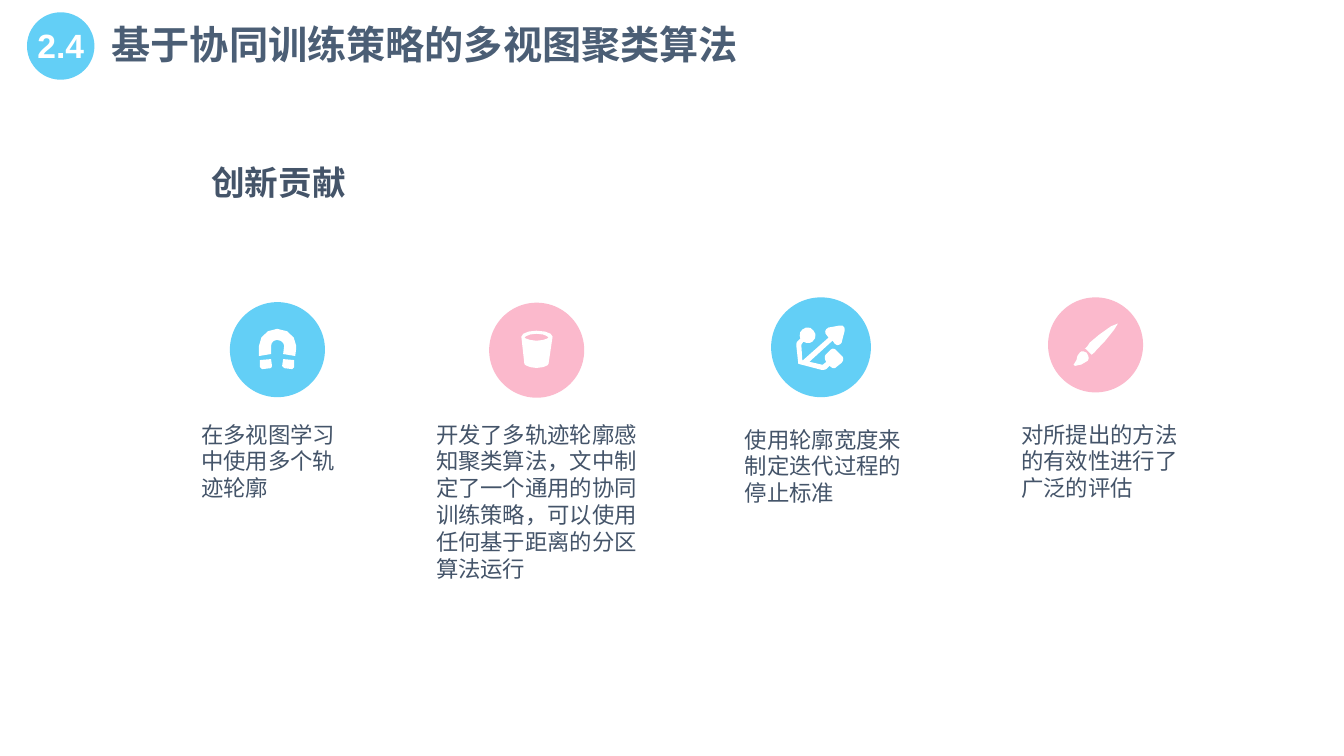
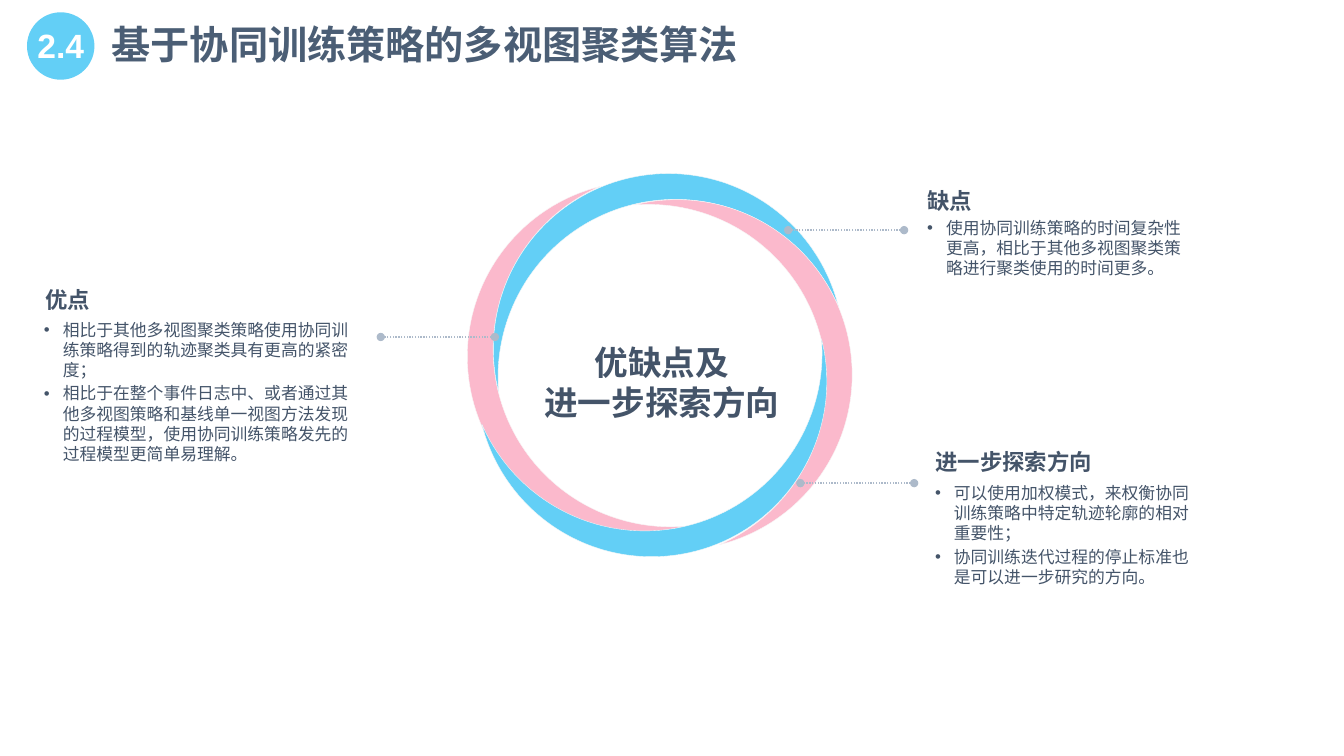
"""Builds two slides on a multi-view clustering algorithm based on co-training."""
from lxml.etree import SubElement
from pptx import Presentation
from pptx.dml.color import RGBColor
from pptx.enum.dml import MSO_LINE
from pptx.enum.lang import MSO_LANGUAGE_ID
from pptx.enum.shapes import MSO_CONNECTOR, MSO_SHAPE
from pptx.enum.text import MSO_ANCHOR, MSO_AUTO_SIZE, PP_ALIGN
from pptx.oxml.ns import qn
from pptx.util import Pt

SKY = RGBColor(0x63, 0xCF, 0xF6)
PINK = RGBColor(0xFB, 0xB9, 0xCC)
WHITE = RGBColor(0xFF, 0xFF, 0xFF)
EDGE = RGBColor(0xF8, 0xF8, 0xF8)
INK = RGBColor(0x44, 0x54, 0x69)
TITLE_INK = RGBColor(0x4B, 0x5E, 0x75)
LEADER = RGBColor(0xAD, 0xBA, 0xCA)

FONT = "Arial"
CURVE_STEPS = 3
ICON_UNIT = 0.72
ICON_DETAIL = 10

MAGNET = [
    [(23, 37), (25, 39), (33, 40), (35, 38), (35, 31), (24, 30)],
    [(1, 31), (1, 38), (3, 40), (12, 39), (13, 37), (12, 30)],
    [(0, 19), (0, 27), (12, 25), (12, 17), (12, 14, 14, 11, 18, 11), (22, 11, 25, 14, 25, 17),
     (24, 25), (36, 27), (37, 19), (37, 17), (37, 8, 29, 0, 18, 0), (8, 0, 0, 8, 0, 17)],
]
CUP = [
    [(15, 0), (6, 0, 0, 3, 0, 6), (3, 33), (3, 34, 8, 37, 15, 37), (23, 37, 27, 34, 27, 33),
     (31, 6), (31, 3, 25, 0, 15, 0)],
    [(15, 10), (8, 10, 3, 7, 3, 7), (3, 6, 8, 3, 15, 3), (23, 3, 27, 6, 27, 7),
     (27, 7, 23, 10, 15, 10)],
]
ROUTE = [
    [(38, 19), (40, 22, 44, 20, 45, 18), (48, 6), (49, 3, 46, 0, 43, 1), (32, 3),
     (29, 4, 28, 7, 29, 9), (32, 13), (6, 36), (5, 20), (7, 17), (10, 19, 14, 19, 16, 17),
     (20, 14, 20, 9, 17, 6), (15, 2, 9, 2, 6, 5), (3, 7, 3, 11, 4, 14), (2, 16),
     (0, 17, 0, 19, 0, 21), (2, 39), (25, 45), (27, 45, 29, 45, 30, 44), (33, 41), (34, 42),
     (36, 44, 39, 44, 40, 42), (45, 38), (47, 36, 47, 33, 46, 32), (40, 26),
     (39, 24, 36, 23, 34, 25), (29, 30), (28, 31, 28, 34, 29, 36), (30, 37), (26, 40),
     (13, 37), (36, 16)],
]
BRUSH = [
    [(8, 31), (4, 34, 7, 38, 2, 43), (0, 45, 11, 44, 16, 39), (18, 37, 17, 34, 15, 31),
     (12, 29, 9, 29, 8, 31)],
    [(46, 2), (44, 0, 24, 15, 18, 21), (16, 24, 15, 26, 13, 27), (14, 27), (17, 30), (19, 32),
     (20, 33), (21, 32, 23, 31, 25, 28), (31, 23, 47, 3, 46, 2)],
]


def write(sp, box, text, size=16, color=INK, bold=False, align=PP_ALIGN.LEFT,
          inset=(0, 0), bullet=False):
    sp.left, sp.top, sp.width, sp.height = (Pt(v) for v in box)
    tf = sp.text_frame
    tf.auto_size = MSO_AUTO_SIZE.NONE
    tf.word_wrap = True
    tf.vertical_anchor = MSO_ANCHOR.TOP
    tf.margin_left = tf.margin_right = Pt(inset[0])
    tf.margin_top = tf.margin_bottom = Pt(inset[1])
    for i, line in enumerate(text.split("\n")):
        p = tf.add_paragraph() if i else tf.paragraphs[0]
        if bullet:
            pPr = p._p.get_or_add_pPr()
            pPr.set("marL", str(Pt(13.5)))
            pPr.set("indent", str(-Pt(13.5)))
            SubElement(pPr, qn("a:buFont")).set("typeface", FONT)
            SubElement(pPr, qn("a:buChar")).set("char", "•")
        p.alignment = align
        p.space_before = Pt(size * 0.2 if bullet and i else 0)
        r = p.add_run()
        r.text = line
        r.font.name, r.font.size, r.font.bold = FONT, Pt(size), bold
        r.font.color.rgb = color
        r.font.language_id = MSO_LANGUAGE_ID.SIMPLIFIED_CHINESE


def paint(sp, color, edge=None):
    sp.shadow.inherit = False
    sp.fill.solid()
    sp.fill.fore_color.rgb = color
    if edge is None:
        sp.line.fill.background()
    else:
        sp.line.color.rgb = edge
        sp.line.width = Pt(0.25)


prs = Presentation()
prs.slide_width, prs.slide_height = Pt(960), Pt(540)
s1 = prs.slides.add_slide(prs.slide_layouts.get_by_name("Title Only"))
s2 = prs.slides.add_slide(prs.slide_layouts.get_by_name("Comparison"))

for s in (s1, s2):
    paint(s.shapes.add_shape(MSO_SHAPE.OVAL, Pt(19.3), Pt(8.8), Pt(48.2), Pt(48.2)), SKY)
    write(s.shapes.title, (72.5, 10.8, 477.4, 41), "基于协同训练策略的多视图聚类算法",
          size=28, color=TITLE_INK, bold=True, inset=(7.2, 3.6))
    write(s.shapes.add_textbox(0, 0, 0, 0), (15, 14.4, 56.9, 36), "2.4",
          size=24, color=WHITE, bold=True, align=PP_ALIGN.CENTER, inset=(7.2, 3.6))

write(s1.shapes.add_textbox(0, 0, 0, 0), (143.8, 112.3, 176.4, 36), "创新贡献",
      size=24, bold=True, inset=(7.2, 3.6))

contributions = [
    (SKY, (164.2, 215.8, 67.9), MAGNET, (185, 234.9), (143.8, 300.5, 108.7, 58.3),
     "在多视图学习中使用多个轨迹轮廓"),
    (PINK, (349.4, 216.2, 67.9), CUP, (372.4, 236.2), (311.5, 300.5, 144.5, 116.6),
     "开发了多轨迹轮廓感知聚类算法，文中制定了一个通用的协同训练策略，可以使用任何基于距离的分区算法运行"),
    (SKY, (550.8, 212.4, 71.3), ROUTE, (568.8, 231.8), (532.1, 304.1, 112.5, 58.3),
     "使用轮廓宽度来制定迭代过程的停止标准"),
    (PINK, (748.6, 212.4, 67.9), BRUSH, (765.4, 229.7), (729.4, 300.5, 117.4, 58.3),
     "对所提出的方法的有效性进行了广泛的评估"),
]
for color, (x, y, d), icon, origin, box, text in contributions:
    paint(s1.shapes.add_shape(MSO_SHAPE.OVAL, Pt(x), Pt(y), Pt(d), Pt(d)), color)
    fb = None
    for contour in icon:
        pts = [contour[0]]
        for seg in contour[1:]:
            if len(seg) == 2:
                pts.append(seg)
                continue
            ends = [pts[-1], seg[:2], seg[2:4], seg[4:]]
            for step in range(1, CURVE_STEPS + 1):
                t = step / CURVE_STEPS
                weights = ((1 - t) ** 3, 3 * t * (1 - t) ** 2, 3 * t * t * (1 - t), t ** 3)
                pts.append(tuple(sum(w * e[k] for w, e in zip(weights, ends)) for k in (0, 1)))
        pts = [(px * ICON_DETAIL, py * ICON_DETAIL) for px, py in pts]
        if fb is None:
            fb = s1.shapes.build_freeform(*pts[0], scale=Pt(ICON_UNIT / ICON_DETAIL))
        else:
            fb.move_to(*pts[0])
        fb.add_line_segments(pts[1:], close=True)
    paint(fb.convert_to_shape(Pt(origin[0]), Pt(origin[1])), WHITE)
    write(s1.shapes.add_textbox(0, 0, 0, 0), box, text)

crescents = [(335.7, 144.7, PINK), (399.6, 63.4, SKY), (481.5, 127.4, PINK), (418.1, 208, SKY)]
for i, (x, y, color) in enumerate(crescents):
    moon = s2.shapes.add_shape(MSO_SHAPE.MOON, Pt(x), Pt(y), Pt(125.3), Pt(250.2))
    moon.adjustments[0] = 0.152
    moon.rotation = (345.9 + 90 * i) % 360
    paint(moon, color, edge=EDGE)

write(s2.shapes.add_textbox(0, 0, 0, 0), (373.4, 240.5, 198.7, 65.5),
      "优缺点及\n进一步探索方向", size=24, bold=True, align=PP_ALIGN.CENTER, inset=(7.2, 3.6))

for x1, x2, y in [(353.5, 272, 240.7), (645.8, 563, 164.4), (653, 571.7, 345.1)]:
    cxn = s2.shapes.add_connector(MSO_CONNECTOR.STRAIGHT, Pt(x1), Pt(y), Pt(x2), Pt(y))
    cxn.line.color.rgb = LEADER
    cxn.line.width = Pt(1)
    cxn.line.dash_style = MSO_LINE.ROUND_DOT
    ln = cxn.line._get_or_add_ln()
    for end in ("a:headEnd", "a:tailEnd"):
        SubElement(ln, qn(end)).set("type", "oval")
    SubElement(cxn._element.spPr, qn("a:effectLst"))

frames = [ph for ph in s2.placeholders if ph.placeholder_format.idx > 0]
frames += [s2.shapes.add_textbox(0, 0, 0, 0) for _ in range(2)]
topics = [
    ("优点", (32.4, 204.5, 154, 19.4), (31.4, 228.1, 226.8, 139.7),
     "相比于其他多视图聚类策略使用协同训练策略得到的轨迹聚类具有更高的紧密度；\n"
     "相比于在整个事件日志中、或者通过其他多视图策略和基线单一视图方法发现的过程模型，"
     "使用协同训练策略发先的过程模型更简单易理解。"),
    ("缺点", (662.4, 133.5, 99.4, 19.4), (662.3, 155.5, 188, 44),
     "使用协同训练策略的时间复杂性更高，相比于其他多视图聚类策略进行聚类使用的时间更多。"),
    ("进一步探索方向", (668.2, 320.4, 154, 19.4), (667.9, 344.9, 185, 75.6),
     "可以使用加权模式，来权衡协同训练策略中特定轨迹轮廓的相对重要性；\n"
     "协同训练迭代过程的停止标准也是可以进一步研究的方向。"),
]
for (heading, heading_box, list_box, points), head, body in zip(topics, frames[::2], frames[1::2]):
    write(head, heading_box, heading, bold=True)
    write(body, list_box, points, size=12, bullet=True)

prs.save("out.pptx")
